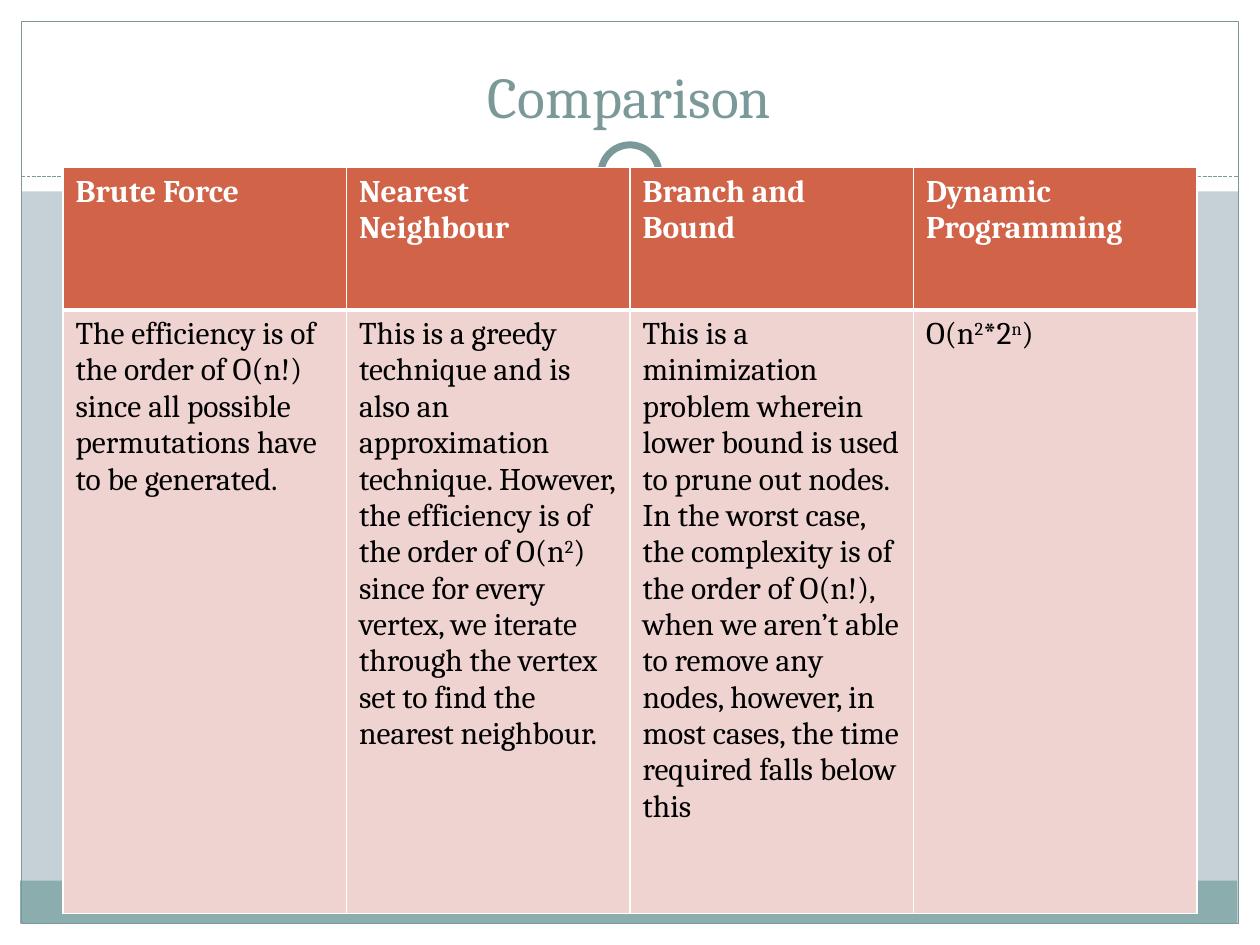
from dataclasses import dataclass

from lxml.etree import SubElement
from pptx import Presentation
from pptx.dml.color import RGBColor
from pptx.enum.dml import MSO_LINE
from pptx.enum.shapes import MSO_CONNECTOR, MSO_SHAPE
from pptx.enum.text import MSO_ANCHOR, MSO_AUTO_SIZE, PP_ALIGN
from pptx.oxml.ns import qn
from pptx.util import Inches, Pt

HUES = {
    "back": "C5D1D7", "white": "FFFFFF", "band": "8CADAE", "edge": "7C999A",
    "head": "D16349", "body": "EED3D0", "black": "000000",
}
FONT = "Cambria"


@dataclass
class Panel:
    left: float
    top: float
    width: float
    height: float
    fill: str = ""
    line: float = 0
    kind: MSO_SHAPE = MSO_SHAPE.RECTANGLE


@dataclass
class Method:
    name: str
    note: str


PANELS = [
    Panel(0, 7.33, 10, 0.17, "white"),
    Panel(0, 0, 10, 1.52, "white"),
    Panel(0, 0, 0.17, 7.5, "white"),
    Panel(9.83, 0, 0.17, 7.5, "white"),
    Panel(0.16, 6.99, 9.66, 0.34, "band"),
    Panel(0.17, 0.17, 9.66, 7.16, line=0.75),
]
RINGS = [
    Panel(4.67, 1.05, 0.67, 0.67, "white", kind=MSO_SHAPE.OVAL),
    Panel(4.77, 1.15, 0.46, 0.46, "white", 4, MSO_SHAPE.OVAL),
]
METHODS = [
    Method("Brute Force",
           "The efficiency is of the order of O(n!) since all possible "
           "permutations have to be generated."),
    Method("Nearest Neighbour",
           "This is a greedy technique and is also an approximation technique. "
           "However, the efficiency is of the order of O(n^2^) since for every "
           "vertex, we iterate through the vertex set to find the nearest neighbour."),
    Method("Branch and Bound",
           "This is a minimization problem wherein lower bound is used to prune "
           "out nodes. In the worst case, the complexity is of the order of O(n!), "
           "when we aren’t able to remove any nodes, however, in most cases, the "
           "time required falls below this"),
    Method("Dynamic Programming", "O(n^2^*2^n^)"),
]


def hue(name: str) -> RGBColor:
    return RGBColor.from_string(HUES[name])


def style(font, size: float, color: str, bold: bool = False) -> None:
    font.name = FONT
    font.size = Pt(size)
    font.bold = bold
    font.color.rgb = hue(color)


def draw(slide, panel: Panel) -> None:
    shape = slide.shapes.add_shape(
        panel.kind, Inches(panel.left), Inches(panel.top),
        Inches(panel.width), Inches(panel.height))
    shape.shadow.inherit = False
    if panel.fill:
        shape.fill.solid()
        shape.fill.fore_color.rgb = hue(panel.fill)
    else:
        shape.fill.background()
    if panel.line:
        shape.line.width = Pt(panel.line)
        shape.line.color.rgb = hue("edge")
    else:
        shape.line.fill.background()


def rule(slide) -> None:
    line = slide.shapes.add_connector(
        MSO_CONNECTOR.STRAIGHT, Inches(0.17), Inches(1.4), Inches(9.83), Inches(1.4))
    line.line.width = Pt(0.75)
    line.line.color.rgb = hue("edge")
    line.line.dash_style = MSO_LINE.SQUARE_DOT
    SubElement(line._element.spPr, qn("a:effectLst"))


def border(cell, side: str, width: float) -> None:
    edge = SubElement(cell._tc.get_or_add_tcPr(), qn(f"a:ln{side}"), w=str(Pt(width)))
    fill = SubElement(edge, qn("a:solidFill"))
    SubElement(fill, qn("a:srgbClr"), val=HUES["white"])


def write(cell, text: str, head: bool) -> None:
    thick = "B" if head else "T"
    for side in "LRTB":
        border(cell, side, 3 if side == thick else 1)
    cell.fill.solid()
    cell.fill.fore_color.rgb = hue("head" if head else "body")
    para = cell.text_frame.paragraphs[0]
    style(para.font, 18, "white" if head else "black", head)
    for place, part in enumerate(text.split("^")):
        run = para.add_run()
        run.text = part
        if place % 2:
            run._r.get_or_add_rPr().set("baseline", "30000")


def compare(slide) -> None:
    table = slide.shapes.add_table(
        2, len(METHODS), Inches(0.5), Inches(1.33), Inches(9), Inches(5.92)).table
    table.rows[0].height = Inches(1.13)
    table.rows[1].height = Inches(4.79)
    for col, method in enumerate(METHODS):
        write(table.cell(0, col), method.name, True)
        write(table.cell(1, col), method.note, False)


def head(slide) -> None:
    title = slide.shapes.title
    title.left, title.top = Inches(0.33), Inches(0.25)
    title.width, title.height = Inches(9.33), Inches(0.83)
    frame = title.text_frame
    frame.text = "Comparison"
    frame.auto_size = MSO_AUTO_SIZE.NONE
    frame.vertical_anchor = MSO_ANCHOR.BOTTOM
    para = frame.paragraphs[0]
    para.alignment = PP_ALIGN.CENTER
    style(para.font, 33, "edge")
    slide.shapes._spTree.append(title._element)


def main() -> None:
    deck = Presentation()
    deck.slide_width, deck.slide_height = Inches(10), Inches(7.5)
    slide = deck.slides.add_slide(deck.slide_layouts[5])
    slide.background.fill.solid()
    slide.background.fill.fore_color.rgb = hue("back")
    for panel in PANELS:
        draw(slide, panel)
    rule(slide)
    for ring in RINGS:
        draw(slide, ring)
    head(slide)
    compare(slide)
    deck.save("out.pptx")


main()
